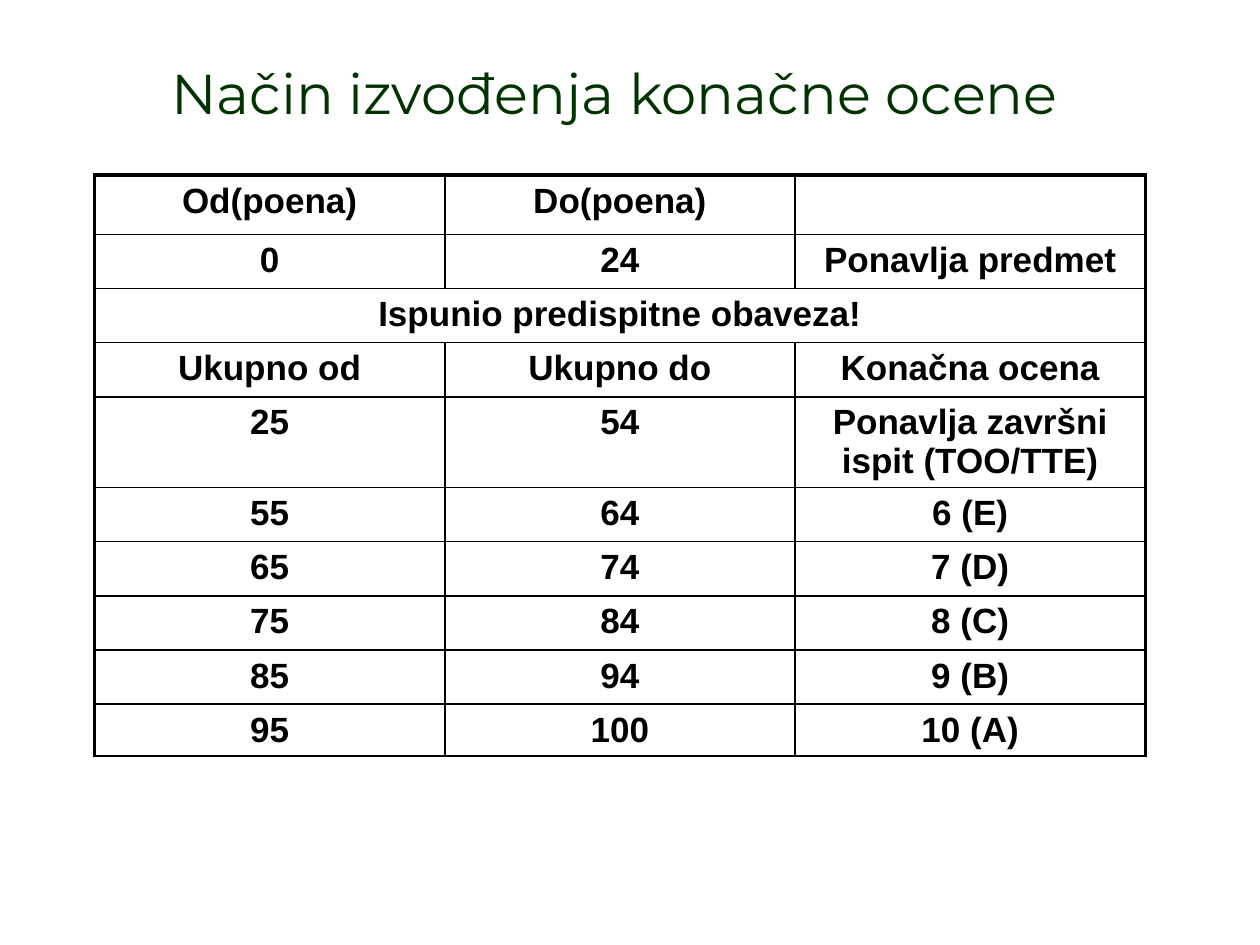
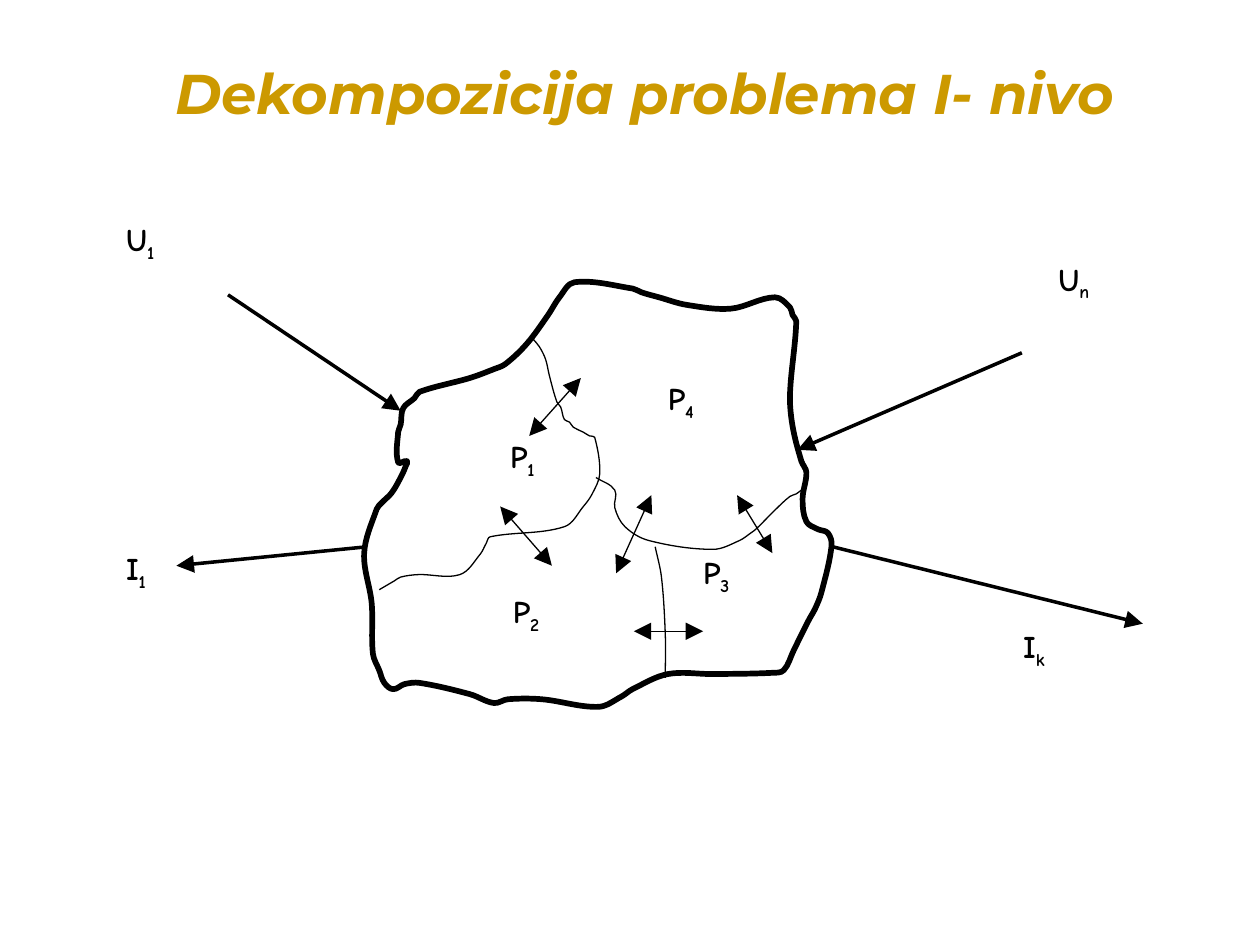
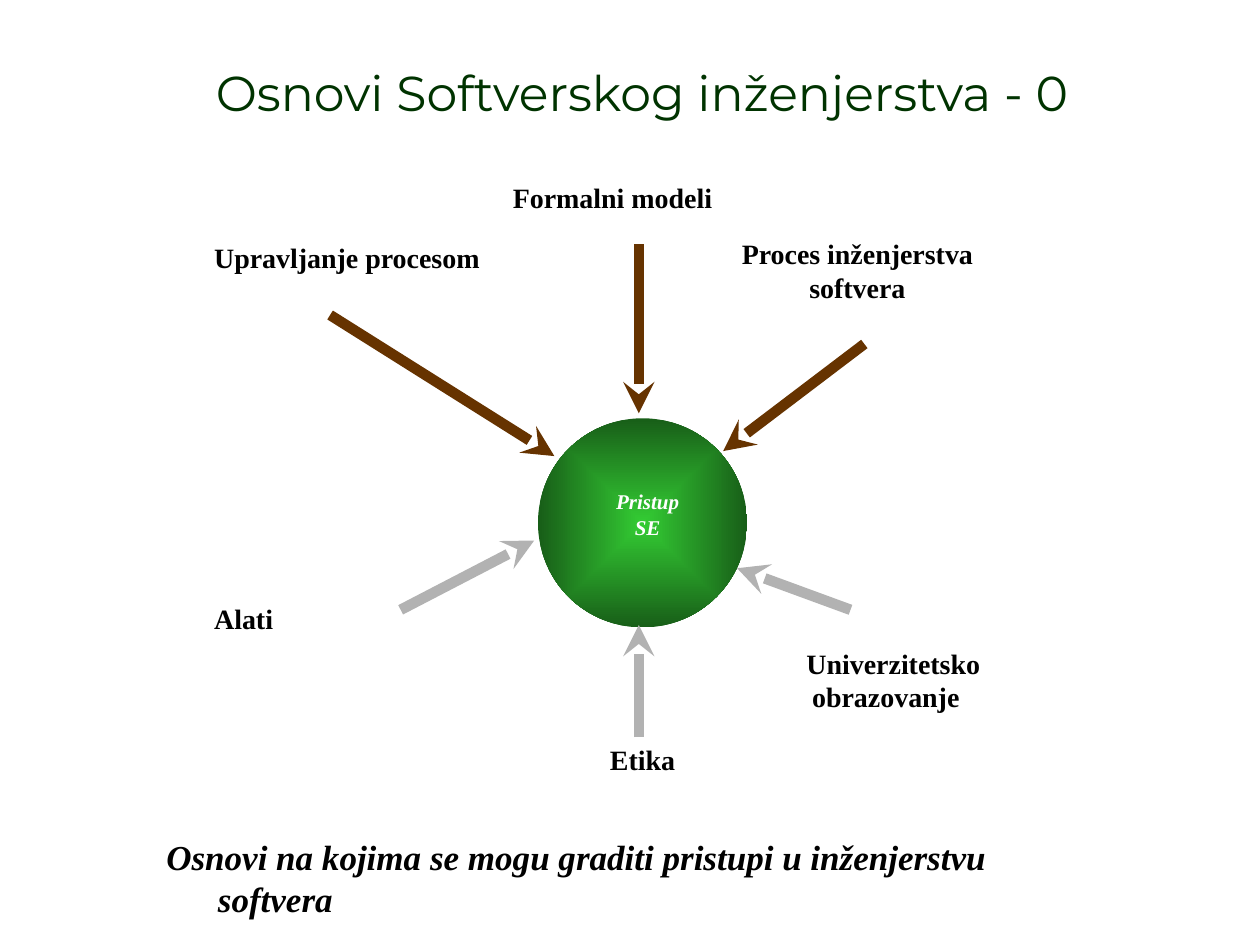
import math

import pptx
import pptx.dml.color
import pptx.enum.shapes
import pptx.enum.text
import pptx.oxml
import pptx.oxml.ns
import pptx.util
from pptx.util import Inches

COLORS = {
    "black": "000000",
    "white": "FFFFFF",
    "title": "003300",
    "gold": "CC9900",
    "brown": "663300",
    "gray": "B2B2B2",
    "green": "33CC33",
    "dark green": "185E18",
}
TITLE_FONT = "Montserrat"
TABLE_FONT = "Arial"
SKETCH_FONT = "Comic Neue"
LABEL_FONT = "Times New Roman"
ALIGN = pptx.enum.text.PP_ALIGN


# Shared helpers
def rgb(name):
    return pptx.dml.color.RGBColor.from_string(COLORS[name])


def add_xml(parent, tag, **attributes):
    child = pptx.oxml.parse_xml(f"<a:{tag} {pptx.oxml.ns.nsdecls('a')}/>")
    for name, value in attributes.items():
        child.set(name, str(value))
    parent.append(child)
    return child


def style_font(font, name, size, color="black", bold=True, italic=False):
    font.name = name
    font.size = pptx.util.Pt(size)
    font.color.rgb = rgb(color)
    font.bold = bold
    font.italic = italic


def style_line(shape, color, width):
    shape.line.color.rgb = rgb(color)
    shape.line.width = pptx.util.Pt(width)


def add_page(deck, title, box, size, color="title", emphasis=False):
    page = deck.slides.add_slide(deck.slide_layouts[5])
    holder = page.shapes.title
    holder.left, holder.top, holder.width, holder.height = map(Inches, box)
    frame = holder.text_frame
    frame.text = title
    frame.vertical_anchor = pptx.enum.text.MSO_ANCHOR.BOTTOM
    frame.auto_size = pptx.enum.text.MSO_AUTO_SIZE.SHAPE_TO_FIT_TEXT
    para = frame.paragraphs[0]
    para.alignment = ALIGN.CENTER
    style_font(para.font, TITLE_FONT, size, color, emphasis, emphasis)
    return page


def add_text_box(page, box, margins):
    frame = page.shapes.add_textbox(*map(Inches, box)).text_frame
    frame.word_wrap = True
    frame.margin_left = frame.margin_right = Inches(margins[0])
    frame.margin_top = frame.margin_bottom = Inches(margins[1])
    return frame


def add_label(page, box, text, size=16, color="black", italic=False, align=ALIGN.CENTER):
    frame = add_text_box(page, box, (0.09, 0.04))
    frame.text = text
    for para in frame.paragraphs:
        para.alignment = align
        style_font(para.font, LABEL_FONT, size, color, italic=italic)
    return frame


def indent_first_line(frame, margin, indent):
    properties = frame.paragraphs[0]._p.get_or_add_pPr()
    properties.set("marL", str(Inches(margin)))
    properties.set("indent", str(Inches(indent)))


def add_arrow(page, origin, ends, color, width, tip="triangle", size="lg", both=False):
    left, top = origin
    x1, y1, x2, y2 = ends
    arrow = page.shapes.add_connector(
        pptx.enum.shapes.MSO_CONNECTOR.STRAIGHT,
        Inches(left + x1), Inches(top + y1), Inches(left + x2), Inches(top + y2))
    style_line(arrow, color, width)
    properties = arrow._element.spPr
    line = properties.find(pptx.oxml.ns.qn("a:ln"))
    for end in ("headEnd", "tailEnd") if both else ("tailEnd",):
        add_xml(line, end, type=tip, w=size, len=size)
    add_xml(properties, "effectLst")


# Grade table
GRADE_ROWS = [
    ("Od(poena)", "Do(poena)", ""),
    ("0", "24", "Ponavlja predmet"),
    ("Ispunio predispitne obaveza!", "", ""),
    ("Ukupno od", "Ukupno do", "Konačna ocena"),
    ("25", "54", "Ponavlja završni ispit (TOO/TTE)"),
    ("55", "64", "6 (E)"),
    ("65", "74", "7 (D)"),
    ("75", "84", "8 (C)"),
    ("85", "94", "9 (B)"),
    ("95", "100", "10 (A)"),
]
SPANNING_ROW = 2
ROW_HEIGHTS = [0.47] + [0.43] * 3 + [0.72] + [0.43] * 4 + [0.41]
COLUMN_WIDTH = 2.78


def set_borders(cell, widths):
    properties = cell._tc.get_or_add_tcPr()
    for index, (side, width) in enumerate(widths.items()):
        border = add_xml(properties, "ln" + side, w=pptx.util.Pt(width))
        add_xml(add_xml(border, "solidFill"), "srgbClr", val=COLORS["black"])
        properties.insert(index, border)


def draw_grades(page, box):
    columns = len(GRADE_ROWS[0])
    table = page.shapes.add_table(len(GRADE_ROWS), columns, *map(Inches, box)).table
    table.first_row = table.horz_banding = False
    for column in table.columns:
        column.width = Inches(COLUMN_WIDTH)
    for row, height in zip(table.rows, ROW_HEIGHTS):
        row.height = Inches(height)
    table.cell(SPANNING_ROW, 0).merge(table.cell(SPANNING_ROW, columns - 1))
    for r, texts in enumerate(GRADE_ROWS):
        for c, text in enumerate(texts):
            cell = table.cell(r, c)
            cell.fill.background()
            cell.margin_bottom = 0
            set_borders(cell, {
                "L": 2.25 if c == 0 else 1,
                "R": 2.25 if c + cell.span_width >= columns else 1,
                "T": 2.25 if r == 0 else 1,
                "B": 1,
            })
            if text:
                cell.text = text
                para = cell.text_frame.paragraphs[0]
                para.alignment = ALIGN.CENTER
                style_font(para.font, TABLE_FONT, 20)


# Decomposition sketch
OUTLINE = [
    (3.05, 5.42), (3.01, 5.32), (2.96, 5.19), (2.95, 4.79), (2.89, 4.39), (2.99, 4.04),
    (3.03, 3.99), (3.11, 3.91), (3.19, 3.77), (3.22, 3.7), (3.23, 3.66), (3.16, 3.67),
    (3.16, 3.43), (3.18, 3.37), (3.2, 3.24), (3.29, 3.16), (3.33, 3.11), (3.73, 3),
    (3.92, 2.93), (4.01, 2.89), (4.18, 2.73), (4.35, 2.5), (4.44, 2.36), (4.56, 2.24),
    (5.02, 2.29), (5.09, 2.32), (5.23, 2.36), (5.45, 2.42), (5.8, 2.45), (6.15, 2.36),
    (6.27, 2.44), (6.29, 2.5), (6.32, 2.55), (6.27, 3.13), (6.29, 3.38),
    (6.36, 3.66), (6.4, 3.75), (6.37, 3.96), (6.4, 4.14), (6.49, 4.2), (6.57, 4.23),
    (6.6, 4.33), (6.52, 4.7), (6.47, 4.83), (6.42, 4.92), (6.3, 5.16), (6.22, 5.32),
    (6.13, 5.34), (5.66, 5.35), (5.3, 5.35), (5.02, 5.47), (4.93, 5.53), (4.75, 5.61),
    (4.3, 5.55), (4.03, 5.55), (3.92, 5.58), (3.73, 5.51), (3.33, 5.42), (3.21, 5.43),
    (3.12, 5.47),
]
DIVIDERS = [
    [(3.01, 4.68), (3.13, 4.61), (3.18, 4.58), (3.32, 4.56), (3.65, 4.56), (3.81, 4.4),
     (3.86, 4.31), (3.89, 4.26), (4.48, 4.18), (4.63, 4.02), (4.7, 3.92), (4.76, 3.76),
     (4.72, 3.47), (4.68, 3.46), (4.63, 3.43), (4.55, 3.39), (4.52, 3.35),
     (4.48, 3.33), (4.45, 3.23), (4.42, 3.19), (4.36, 2.98), (4.33, 2.85), (4.28, 2.75),
     (4.23, 2.69)],
    [(4.73, 3.79), (4.88, 3.89), (4.88, 4.03), (4.96, 4.18), (5.15, 4.29),
     (5.66, 4.36), (5.87, 4.29), (5.96, 4.23), (6, 4.2), (6.15, 4.05),
     (6.27, 3.94), (6.32, 3.92), (6.36, 3.89)],
    [(5.28, 5.38), (5.28, 5.03), (5.25, 4.58), (5.2, 4.34)],
]
FLOW_ARROWS = [
    (1.81, 2.34, 3.18, 3.26), (2.91, 4.34, 1.4, 4.49),
    (8.11, 2.8, 6.33, 3.57), (6.61, 4.34, 9.07, 4.95),
]
LINK_ARROWS = [
    (4.61, 3, 4.2, 3.46), (3.97, 4.02, 4.38, 4.49), (5.17, 3.93, 4.89, 4.55),
    (5.03, 5.01, 5.58, 5.01), (5.85, 3.93, 6.13, 4.39),
]
SYMBOLS = [
    ("U", "1", (1, 1.75, 0.55, 0.77), ALIGN.LEFT),
    ("U", "n", (8.4, 2.06, 0.69, 0.92), ALIGN.LEFT),
    ("I", "1", (1, 4.36, 0.41, 0.77), ALIGN.LEFT),
    ("I", "k", (8.12, 4.98, 0.69, 0.77), ALIGN.LEFT),
    ("P", "1", (3.8, 3.47, 0.69, 0.77), ALIGN.CENTER),
    ("P", "2", (4.07, 4.7, 0.69, 0.62), ALIGN.LEFT),
    ("P", "3", (5.58, 4.39, 0.69, 0.77), ALIGN.LEFT),
    ("P", "4", (5.3, 3.01, 0.55, 0.77), ALIGN.LEFT),
]


def curve_handles(points, closed):
    """Give the two Bezier handles of each segment of a smooth curve."""
    if closed:
        padded = [points[-2], *points, points[1]]
    else:
        padded = [points[0], *points, points[-1]]
    for p0, p1, p2, p3 in zip(padded, padded[1:], padded[2:], padded[3:]):
        reach = math.dist(p1, p2) / 3
        start_pull = reach / math.dist(p0, p2)
        end_pull = reach / math.dist(p1, p3)
        yield ([b + (c - a) * start_pull for a, b, c in zip(p0, p1, p2)],
               [b - (c - a) * end_pull for a, b, c in zip(p1, p2, p3)])


def add_curve(page, origin, points, width, closed=False):
    left, top = origin
    points = points + points[:1] if closed else points
    anchors = [(Inches(left + x), Inches(top + y)) for x, y in points]
    builder = page.shapes.build_freeform(*anchors[0])
    builder.add_line_segments(anchors[1:], close=closed)
    shape = builder.convert_to_shape()
    shape.shadow.inherit = False
    shape.fill.background()
    style_line(shape, "black", width)
    # Turn each straight segment into a Bezier segment
    segments = list(shape._element.iter(pptx.oxml.ns.qn("a:lnTo")))
    for segment, handles in zip(segments, curve_handles(anchors, closed)):
        bend = add_xml(segment.getparent(), "cubicBezTo")
        segment.addprevious(bend)
        for x, y in handles:
            add_xml(bend, "pt", x=round(x - shape.left), y=round(y - shape.top))
        bend.append(segment[0])
        segment.getparent().remove(segment)


def add_symbol(page, box, letter, index, align):
    para = add_text_box(page, box, (0, 0)).paragraphs[0]
    para.alignment = align
    para.add_run().text = letter
    subscript = para.add_run()
    subscript.text = index
    subscript._r.get_or_add_rPr().set("baseline", "-25000")
    style_font(para.font, SKETCH_FONT, 18)


def draw_decomposition(page, origin):
    x, y = origin
    for ends in FLOW_ARROWS:
        add_arrow(page, origin, ends, "black", 2)
    for letter, index, (left, top, width, height), align in SYMBOLS:
        add_symbol(page, (x + left, y + top, width, height), letter, index, align)
    for ends in LINK_ARROWS:
        add_arrow(page, origin, ends, "black", 0.75, both=True)
    add_curve(page, origin, OUTLINE, 3.25, closed=True)
    for divider in DIVIDERS:
        add_curve(page, origin, divider, 0.75)


# Foundations wheel, measured from the centre of the hub
SPOKES = [
    ("gray", (-1.92, 0.69, -0.86, 0.14)),
    ("gray", (1.65, 0.69, 0.75, 0.36)),
    ("gray", (-0.03, 1.7, -0.03, 0.81)),
    ("brown", (-0.03, -2.21, -0.03, -0.87)),
    ("brown", (-2.48, -1.65, -0.7, -0.53)),
    ("brown", (1.76, -1.42, 0.64, -0.57)),
]
FOUNDATIONS = [
    ("Etika", (-0.92, 1.7, 1.84, 0.51), ALIGN.CENTER, 0),
    ("Univerzitetsko obrazovanje", (0.87, 0.94, 2.12, 0.93), ALIGN.CENTER, 0.12),
    ("Formalni modeli", (-1.12, -2.76, 2.32, 0.51), ALIGN.LEFT, 0),
    ("Upravljanje procesom", (-3.49, -2.28, 2.9, 0.51), ALIGN.LEFT, 0),
    ("Proces inženjerstva\nsoftvera", (0.31, -2.31, 2.79, 0.97), ALIGN.CENTER, 0),
    ("Alati", (-3.49, 0.58, 1.45, 0.51), ALIGN.LEFT, 0),
]


def add_hub(page, center, radius):
    x, y = center
    hub = page.shapes.add_shape(
        pptx.enum.shapes.MSO_SHAPE.OVAL,
        Inches(x - radius), Inches(y - radius), Inches(2 * radius), Inches(2 * radius))
    hub.shadow.inherit = False
    hub.line.fill.background()
    hub.fill.gradient()
    for stop, color in zip(hub.fill.gradient_stops, ("green", "dark green")):
        stop.color.rgb = rgb(color)
    gradient = hub._element.spPr.find(pptx.oxml.ns.qn("a:gradFill"))
    gradient.remove(gradient.find(pptx.oxml.ns.qn("a:lin")))
    shade = add_xml(gradient, "path", path="shape")
    add_xml(shade, "fillToRect", **dict.fromkeys("ltrb", 50000))


def draw_wheel(page, center):
    x, y = center
    add_hub(page, center, 0.83)
    for color, ends in SPOKES:
        add_arrow(page, center, ends, color, 6, tip="stealth", size="med")
    for text, (left, top, width, height), align, indent in FOUNDATIONS:
        frame = add_label(page, (x + left, y + top, width, height), text, align=align)
        if indent:
            indent_first_line(frame, 0, indent)
    add_label(page, (x - 0.47, y - 0.31, 1.02, 0.59), "Pristup\nSE", 12, "white", True)


def draw_caption(page, box, text):
    frame = add_label(page, box, text, 20, italic=True, align=ALIGN.LEFT)
    indent_first_line(frame, 0.41, -0.41)


def main():
    deck = pptx.Presentation()
    deck.slide_width, deck.slide_height = Inches(10), Inches(7.5)

    page = add_page(deck, "Način izvođenja konačne ocene", (0.51, 0.42, 8.74, 0.63), 32)
    draw_grades(page, (0.75, 1.39, 3 * COLUMN_WIDTH, sum(ROW_HEIGHTS)))

    page = add_page(deck, "Dekompozicija problema I- nivo", (0.83, 0.42, 8.58, 0.63), 32,
                    "gold", emphasis=True)
    draw_decomposition(page, (0, 0))

    page = add_page(deck, "Osnovi Softverskog inženjerstva - 0", (1.22, 0.44, 7.75, 0.57), 28)
    draw_wheel(page, (5.1, 4.15))
    draw_caption(page, (1.23, 6.59, 7.5, 0.43),
                 "Osnovi na kojima se mogu graditi pristupi u inženjerstvu softvera")

    deck.save("out.pptx")


if __name__ == "__main__":
    main()
